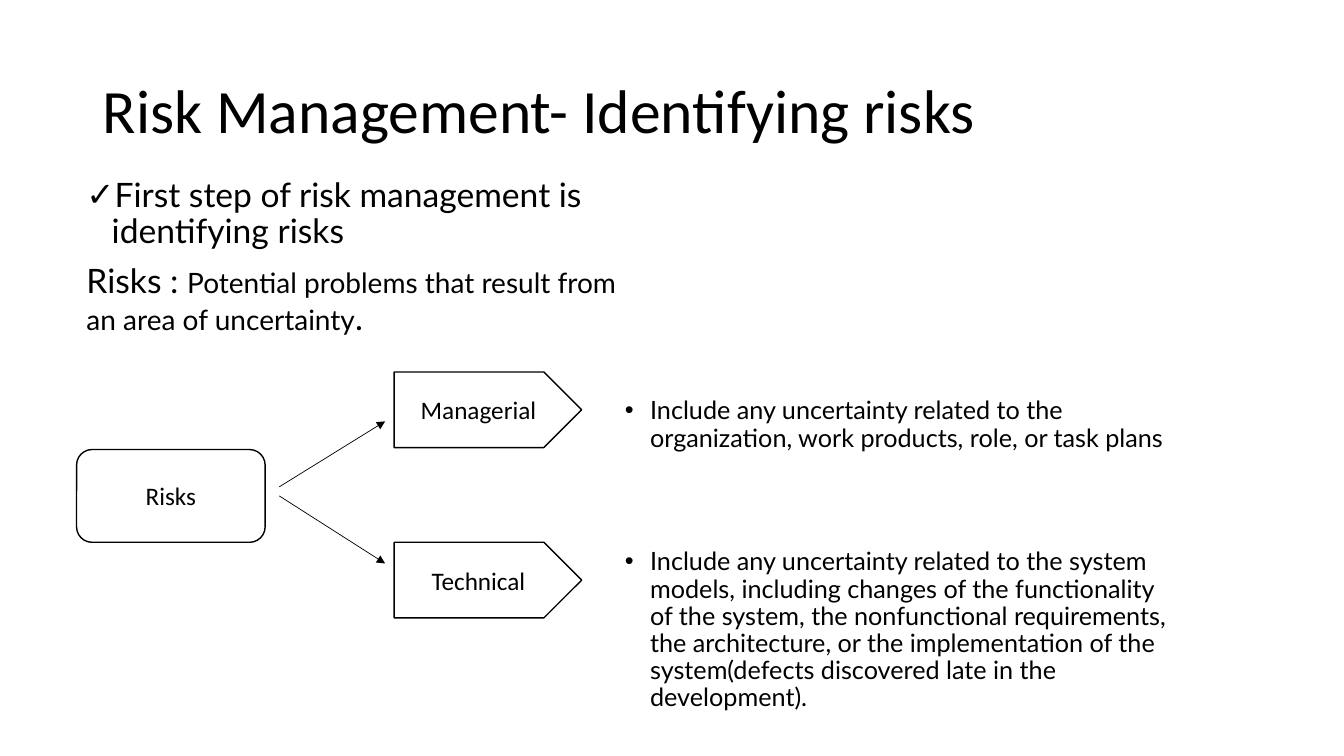
"""Build the slide on identifying risks in risk management."""
import pptx
import pptx.dml.color
import pptx.enum.shapes
import pptx.enum.text
import pptx.oxml
import pptx.util

PX = 9144
BLACK = "000000"
SHAPES = pptx.enum.shapes.MSO_SHAPE
MIDDLE = pptx.enum.text.MSO_ANCHOR.MIDDLE
TOP = pptx.enum.text.MSO_ANCHOR.TOP
CENTER = pptx.enum.text.PP_ALIGN.CENTER
LEFT = pptx.enum.text.PP_ALIGN.LEFT

BODY = {"line_spacing": 0.9, "space_before": pptx.util.Pt(10)}
AFTER_GAP = {"line_spacing": 0.9, "space_before": pptx.util.Pt(69)}
TITLE = {"line_spacing": 0.9, "alignment": LEFT}
LABEL = {"alignment": CENTER}

TEXTS = [
    ((92, 40, 1150, 145), MIDDLE, "Calibri", [
        (TITLE, None, [("Risk Management- Identifying risks", 44)]),
    ]),
    ((76, 172, 564, 403), TOP, "Lato", [
        (BODY, "✓", [("First step of risk management is identifying risks", 24)]),
        (BODY, None, [
            ("Risks : ", 24),
            ("Potential problems that result from an area of uncertainty", 20),
            (".", 24),
        ]),
    ]),
    ((610, 390, 567, 403), TOP, "Lato", [
        (BODY, "•", [("Include any uncertainty related to the organization, "
                      "work products, role, or task plans", 18)]),
        (AFTER_GAP, "•", [("Include any uncertainty related to the system models, "
                           "including changes of the functionality of the system, "
                           "the nonfunctional requirements, the architecture, or the "
                           "implementation of the system(defects discovered late in "
                           "the development).", 18)]),
    ]),
]
NODES = [
    ("Risks", SHAPES.ROUNDED_RECTANGLE, (76, 446, 187, 92)),
    ("Managerial", SHAPES.PENTAGON, (391, 369, 186, 75)),
    ("Technical", SHAPES.PENTAGON, (391, 538, 186, 75)),
]
ARROWS = [(277, 483, 382, 418), (277, 492, 382, 559)]


def emu(lengths):
    return [length * PX for length in lengths]


def color(value):
    return pptx.dml.color.RGBColor.from_string(value)


def apply(target, values):
    for name, value in values.items():
        setattr(target, name, value)


def add_xml(parent, tag, **attributes):
    child = pptx.oxml.parse_xml(
        f'<a:{tag} xmlns:a="http://schemas.openxmlformats.org/drawingml/2006/main"/>')
    for name, value in attributes.items():
        child.set(name, value)
    parent.append(child)


def draw_line(line, width):
    line.color.rgb = color(BLACK)
    line.width = pptx.util.Pt(width)


def write(box, anchor, font, paragraphs):
    frame = box.text_frame
    apply(frame, {"word_wrap": True, "vertical_anchor": anchor})
    for index, (layout, bullet, spans) in enumerate(paragraphs):
        para = frame.add_paragraph() if index else frame.paragraphs[0]
        apply(para, layout)
        if bullet:
            properties = para._p.get_or_add_pPr()
            properties.set("marL", str(25 * PX))
            properties.set("indent", str(-25 * PX))
            add_xml(properties, "buFont", typeface="Arial")
            add_xml(properties, "buChar", char=bullet)
        for text, size in spans:
            span = para.add_run()
            span.text = text
            apply(span.font, {"name": font, "size": pptx.util.Pt(size)})
            span.font.color.rgb = color(BLACK)


def main():
    deck = pptx.Presentation()
    deck.slide_width, deck.slide_height = emu((1333, 750))
    page = deck.slides.add_slide(deck.slide_layouts[6])

    for place, anchor, font, paragraphs in TEXTS:
        write(page.shapes.add_textbox(*emu(place)), anchor, font, paragraphs)

    for label, kind, place in NODES:
        node = page.shapes.add_shape(kind, *emu(place))
        node.shadow.inherit = False
        node.fill.background()
        draw_line(node.line, 1)
        write(node, MIDDLE, "Calibri", [(LABEL, None, [(label, 18)])])

    for ends in ARROWS:
        arrow = page.shapes.add_connector(
            pptx.enum.shapes.MSO_CONNECTOR.STRAIGHT, *emu(ends))
        draw_line(arrow.line, 0.5)
        add_xml(arrow.line._get_or_add_ln(), "tailEnd", type="triangle")
        add_xml(arrow._element.spPr, "effectLst")

    deck.save("out.pptx")


if __name__ == "__main__":
    main()
